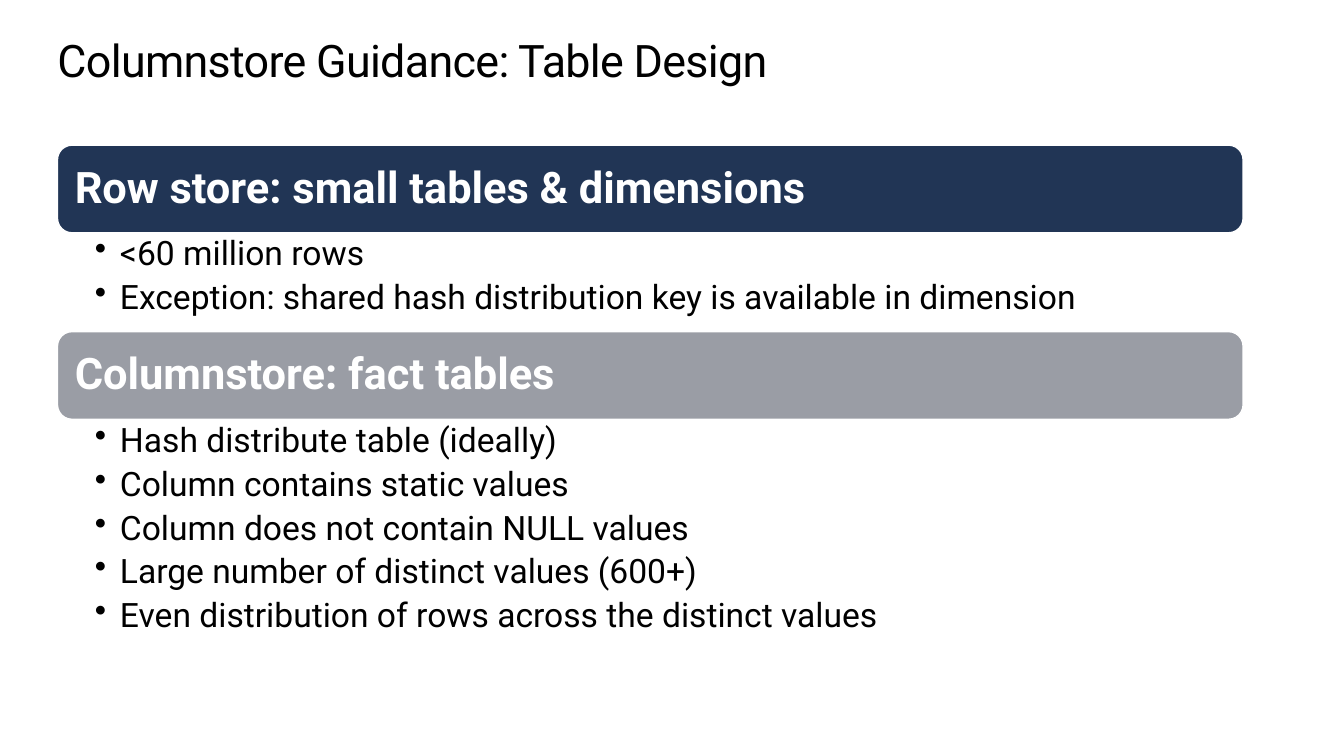
"""Build the columnstore table design slide."""
from dataclasses import dataclass

from lxml.etree import SubElement
from pptx import Presentation
from pptx.dml.color import RGBColor
from pptx.enum.shapes import MSO_SHAPE
from pptx.enum.text import MSO_ANCHOR, PP_ALIGN
from pptx.oxml.ns import qn
from pptx.slide import Slide
from pptx.text.text import TextFrame, _Paragraph
from pptx.util import Inches, Pt

FONT = "Roboto"
LEFT, WIDTH, BAR = 0.57, 11.76, 0.87


@dataclass
class Group:
    head: str
    fill: str
    room: float
    items: list[str]


GROUPS = [
    Group("Row store: small tables & dimensions", "213555", 0.98, [
        "<60 million rows",
        "Exception: shared hash distribution key is available in dimension",
    ]),
    Group("Columnstore: fact tables", "9A9DA5", 2.46, [
        "Hash distribute table (ideally)",
        "Column contains static values",
        "Column does not contain NULL values",
        "Large number of distinct values (600+)",
        "Even distribution of rows across the distinct values",
    ]),
]


def color(code: str) -> RGBColor:
    return RGBColor.from_string(code)


def inset(frame: TextFrame, left: float, top: float, right: float) -> None:
    frame.word_wrap = True
    frame.margin_left, frame.margin_right = Inches(left), Inches(right)
    frame.margin_top = frame.margin_bottom = Inches(top)


def style(para: _Paragraph, size: int, code: str, bold: bool = False) -> None:
    para.alignment = PP_ALIGN.LEFT
    para.line_spacing = 0.9
    for run in para.runs:
        run.font.name, run.font.size, run.font.bold = FONT, Pt(size), bold
        run.font.color.rgb = color(code)


def bullet(para: _Paragraph) -> None:
    para.space_after = Pt(5.4)
    props = para._p.get_or_add_pPr()
    props.set("marL", str(Inches(0.25)))
    props.set("indent", str(-Inches(0.25)))
    SubElement(props, qn("a:buChar")).set("char", "•")


def add_title(slide: Slide, text: str) -> None:
    box = slide.shapes.add_textbox(
        Inches(LEFT), Inches(0.36), Inches(7.35), Inches(0.5))
    frame = box.text_frame
    inset(frame, 0, 0, 0)
    frame.text = text
    para = frame.paragraphs[0]
    style(para, 32, "000000")
    para.line_spacing = Pt(36.2)
    para.runs[0].font._element.set("spc", "-50")


def add_bar(slide: Slide, group: Group, top: float) -> None:
    bar = slide.shapes.add_shape(
        MSO_SHAPE.ROUNDED_RECTANGLE,
        Inches(LEFT), Inches(top), Inches(WIDTH), Inches(BAR))
    bar.shadow.inherit = False
    bar.fill.solid()
    bar.fill.fore_color.rgb = color(group.fill)
    bar.line.color.rgb = color("FFFFFF")
    bar.line.width = Pt(1)
    frame = bar.text_frame
    inset(frame, 0.13, 0.13, 0.13)
    frame.vertical_anchor = MSO_ANCHOR.MIDDLE
    frame.text = group.head
    style(frame.paragraphs[0], 31, "FFFFFF", True)


def add_list(slide: Slide, group: Group, top: float) -> None:
    box = slide.shapes.add_textbox(
        Inches(LEFT), Inches(top), Inches(WIDTH), Inches(group.room))
    frame = box.text_frame
    inset(frame, 0.37, 0.04, 0.24)
    frame.text = "\n".join(group.items)
    for para in frame.paragraphs:
        style(para, 24, "000000")
        bullet(para)


def main() -> None:
    deck = Presentation()
    deck.slide_width, deck.slide_height = Inches(13.33), Inches(7.5)
    slide = deck.slides.add_slide(deck.slide_layouts[6])
    add_title(slide, "Columnstore Guidance: Table Design")
    top = 1.44
    for group in GROUPS:
        add_bar(slide, group, top)
        add_list(slide, group, top + BAR)
        top += BAR + group.room
    deck.save("out.pptx")


if __name__ == "__main__":
    main()
